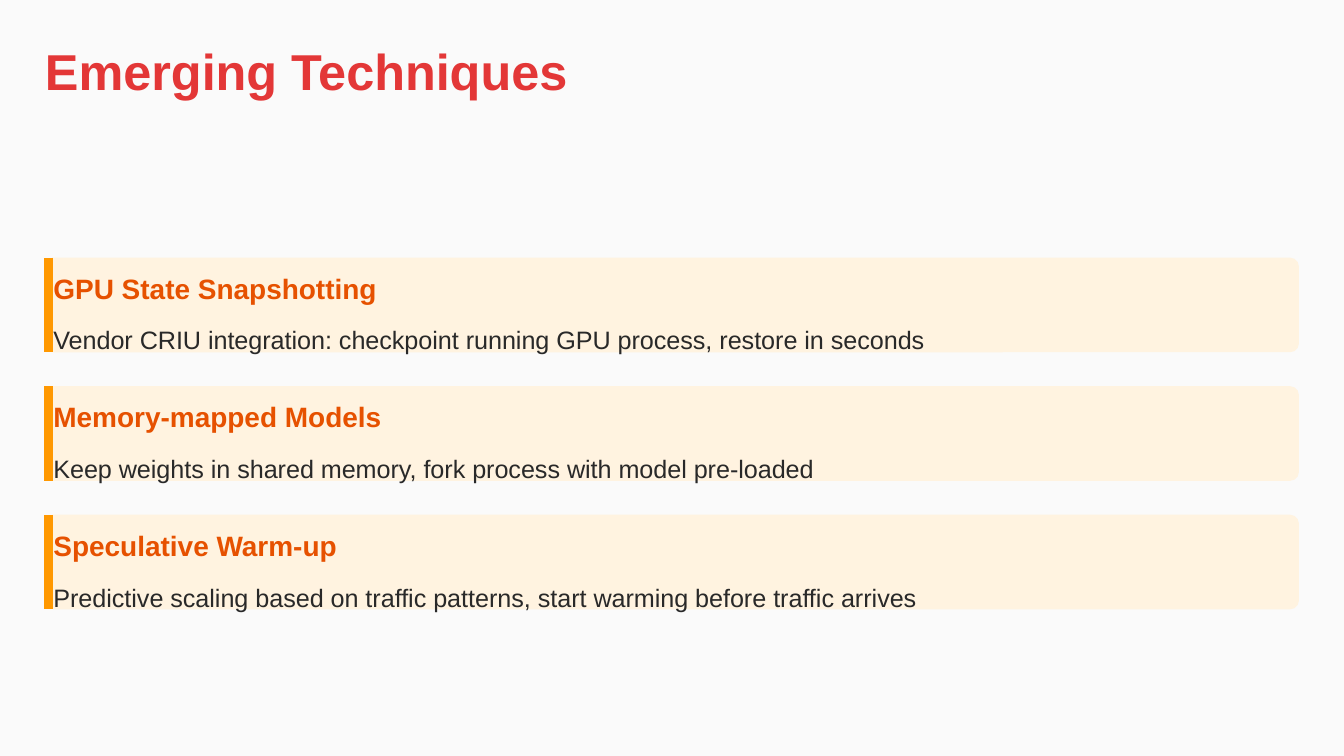
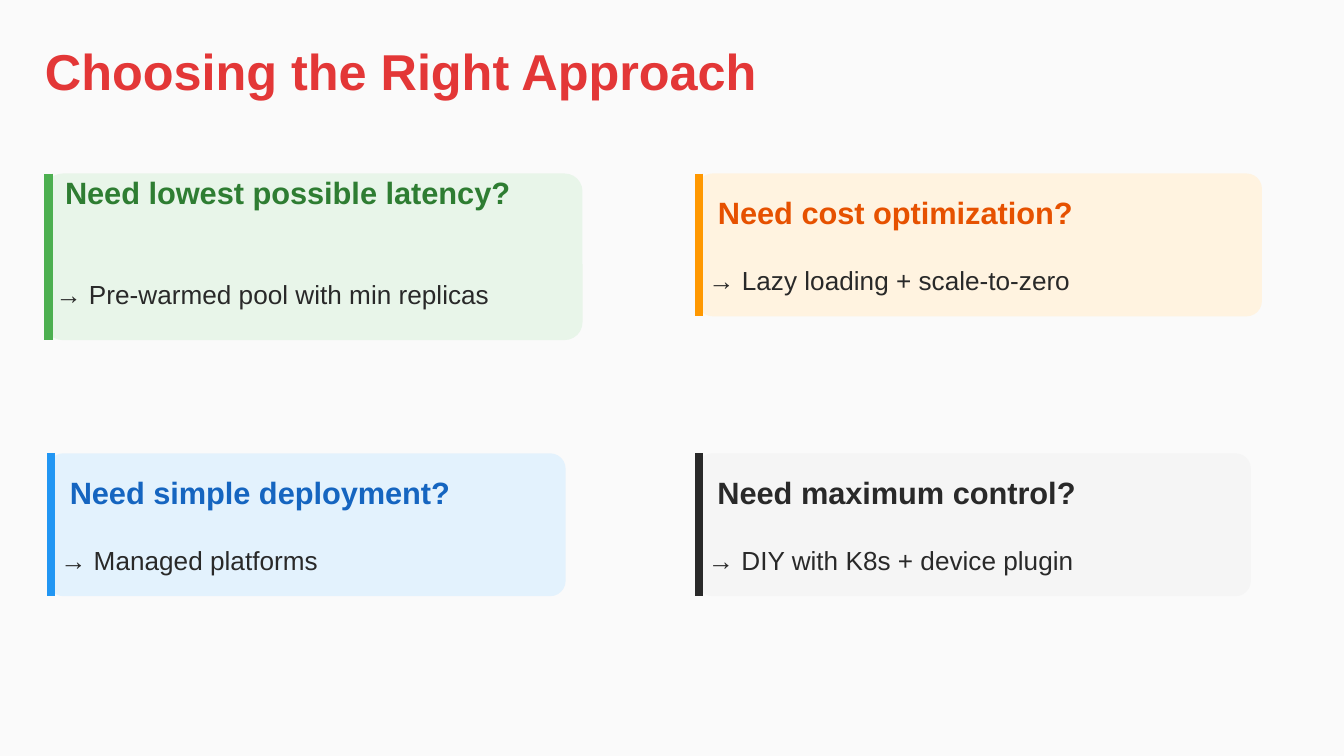
from dataclasses import dataclass

from lxml import etree
from pptx import Presentation
from pptx import util as u
from pptx.dml.color import RGBColor
from pptx.enum import shapes, text
from pptx.oxml.ns import qn

FONT = "Arial"
COLORS = {
    "background": "FAFAFA", "title": "E33737", "ink": "292929",
    "green": "4CAF50", "green_pale": "E8F5E9", "green_dark": "2E7D32",
    "orange": "FF9800", "orange_pale": "FFF3E0", "orange_dark": "E65100",
    "blue": "2196F3", "blue_pale": "E3F2FD", "blue_dark": "1565C0",
    "gray_pale": "F5F5F5",
}


@dataclass(frozen=True)
class Theme:
    bar: str
    fill: str
    heading: str


@dataclass(frozen=True)
class CardStyle:
    radius: float
    heading_size: float
    body_size: float
    heading_indent: float
    body_indent: float
    body_spacing: float


@dataclass(frozen=True)
class Card:
    heading: str
    body: str
    theme: Theme
    left: float
    top: float
    width: float
    height: float
    bar_left: float
    text_left: float
    text_width: float
    heading_height: float
    body_offset: float
    body_height: float
    heading_spacing: float


GREEN = Theme("green", "green_pale", "green_dark")
ORANGE = Theme("orange", "orange_pale", "orange_dark")
BLUE = Theme("blue", "blue_pale", "blue_dark")
GRAY = Theme("ink", "gray_pale", "ink")

ROW_STYLE = CardStyle(0.094, 15, 13.5, 0, 0, 1.56)
GRID_STYLE = CardStyle(0.107, 16.5, 14, 0.32, 0.14, 1.5)

ROW_TOP, ROW_PITCH = 4.87, 2.43
TECHNIQUES = [
    ("GPU State Snapshotting",
     "Vendor CRIU integration: checkpoint running GPU process, restore in seconds"),
    ("Memory-mapped Models",
     "Keep weights in shared memory, fork process with model pre-loaded"),
    ("Speculative Warm-up",
     "Predictive scaling based on traffic patterns, start warming before traffic arrives"),
]
ROWS = [
    Card(heading, body, ORANGE, 0.85, ROW_TOP + i * ROW_PITCH, 23.7, 1.79,
         0.92, 1.01, 24.03, 0.74, 0.95, 0.74, 1.4)
    for i, (heading, body) in enumerate(TECHNIQUES)
]

UPPER, LOWER = 3.28, 8.57
APPROACHES = [
    Card("Need lowest possible latency?", "→ Pre-warmed pool with min replicas",
         GREEN, 0.85, UPPER, 10.16, 3.15, 0.92, 0.91, 10.29, 1.47, 1.68, 1.27, 1),
    Card("Need cost optimization?", "→ Lazy loading + scale-to-zero",
         ORANGE, 13.18, UPPER, 10.67, 2.7, 13.21, 13.25, 10.8, 1.27, 1.43, 1.07, 1.56),
    Card("Need simple deployment?", "→ Managed platforms",
         BLUE, 0.91, LOWER, 9.78, 2.7, 0.96, 1, 9.91, 1.27, 1.43, 1.07, 1.56),
    Card("Need maximum control?", "→ DIY with K8s + device plugin",
         GRAY, 13.18, LOWER, 10.46, 2.7, 13.21, 13.24, 10.59, 1.27, 1.43, 1.07, 1.56),
]


def rgb(name: str) -> RGBColor:
    return RGBColor.from_string(COLORS[name])


def write(sp, content: str, *, size: float, color: str, bold: bool = False,
          spacing: float = 1, indent: float = 0) -> None:
    tf = sp.text_frame
    tf.word_wrap = True
    tf.auto_size = text.MSO_AUTO_SIZE.NONE
    tf.vertical_anchor = text.MSO_ANCHOR.TOP
    tf.margin_left = u.Cm(indent)
    tf.margin_top = tf.margin_right = tf.margin_bottom = 0
    p = tf.paragraphs[0]
    p.alignment = text.PP_ALIGN.LEFT
    p.line_spacing = spacing
    r = p.add_run()
    r.text = content
    r.font.name = FONT
    r.font.size = u.Pt(size)
    r.font.bold = bold
    r.font.color.rgb = rgb(color)


def add_text(s, content: str, left: float, top: float, width: float,
             height: float, **style) -> None:
    sp = s.shapes.add_textbox(u.Cm(left), u.Cm(top), u.Cm(width), u.Cm(height))
    write(sp, content, **style)


def add_bar(s, x: float, top: float, bottom: float, color: str) -> None:
    bar = s.shapes.add_connector(shapes.MSO_CONNECTOR.STRAIGHT,
                                 u.Cm(x), u.Cm(top), u.Cm(x), u.Cm(bottom))
    bar.line.color.rgb = rgb(color)
    bar.line.width = u.Pt(4.5)
    etree.SubElement(bar._element.spPr, qn("a:effectLst"))


def add_card(s, card: Card, style: CardStyle) -> None:
    sp = s.shapes.add_shape(shapes.MSO_SHAPE.ROUNDED_RECTANGLE,
                            u.Cm(card.left), u.Cm(card.top),
                            u.Cm(card.width), u.Cm(card.height))
    sp.adjustments[0] = style.radius
    sp.shadow.inherit = False
    sp.fill.solid()
    sp.fill.fore_color.rgb = rgb(card.theme.fill)
    sp.line.fill.background()
    add_bar(s, card.bar_left, card.top, card.top + card.height, card.theme.bar)
    add_text(s, card.heading, card.text_left, card.top, card.text_width,
             card.heading_height, size=style.heading_size, bold=True,
             color=card.theme.heading, spacing=card.heading_spacing,
             indent=style.heading_indent)
    add_text(s, card.body, card.text_left, card.top + card.body_offset,
             card.text_width, card.body_height, size=style.body_size,
             color="ink", spacing=style.body_spacing, indent=style.body_indent)


def add_card_slide(prs, title: str, title_width: float, cards: list[Card],
                   style: CardStyle) -> None:
    s = prs.slides.add_slide(prs.slide_layouts[5])
    s.background.fill.solid()
    s.background.fill.fore_color.rgb = rgb("background")
    sp = s.shapes.title
    sp.left, sp.top = u.Cm(0.85), u.Cm(0.64)
    sp.width, sp.height = u.Cm(title_width), u.Cm(1.06)
    write(sp, title, size=27, color="title", bold=True, spacing=1.11)
    for card in cards:
        add_card(s, card, style)


def main() -> None:
    prs = Presentation()
    prs.slide_width, prs.slide_height = u.Cm(25.4), u.Cm(14.29)
    add_card_slide(prs, "Emerging Techniques", 12.12, ROWS, ROW_STYLE)
    add_card_slide(prs, "Choosing the Right Approach", 13.74, APPROACHES, GRID_STYLE)
    prs.save("out.pptx")


if __name__ == "__main__":
    main()
